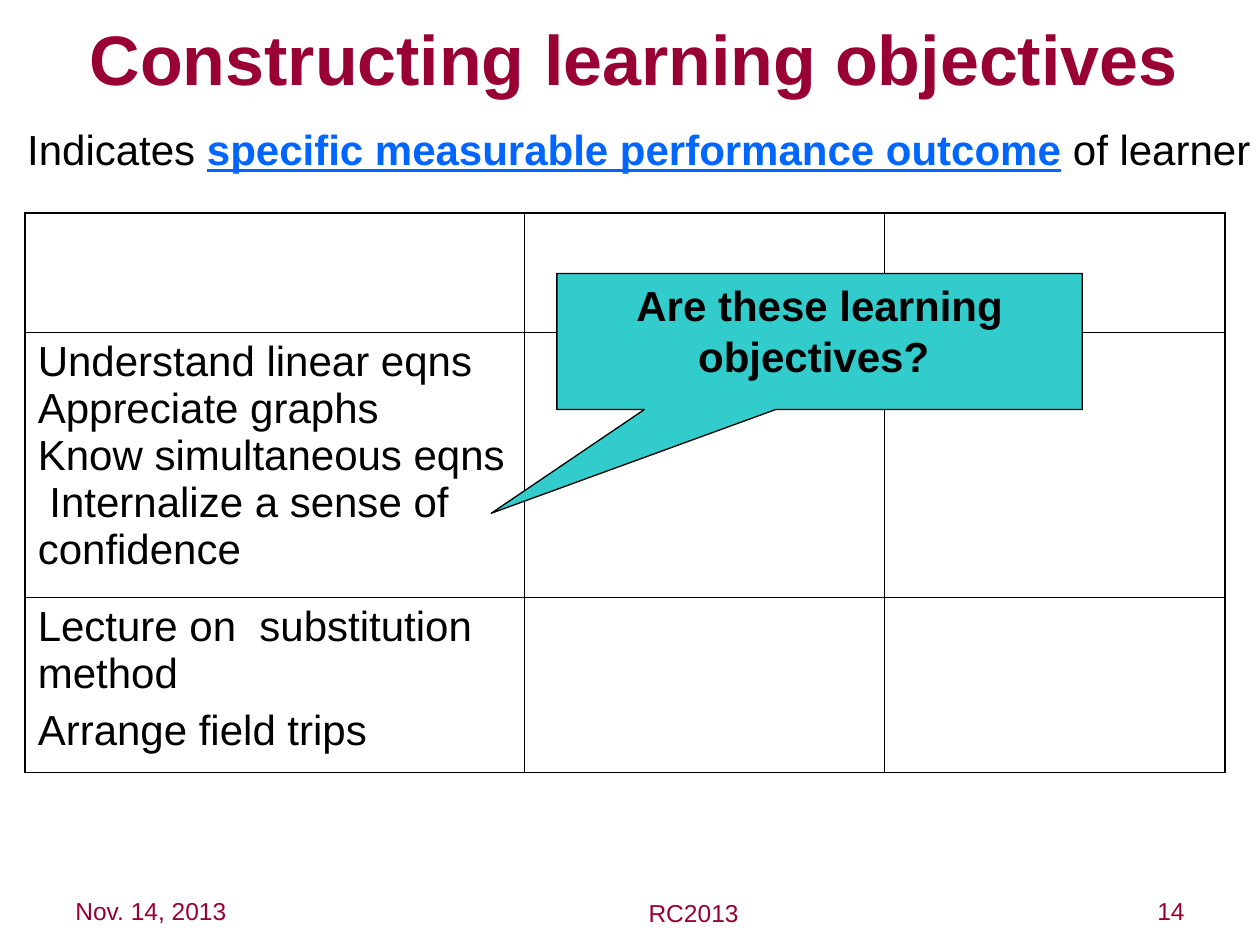
from lxml.etree import SubElement
from pptx import Presentation
from pptx.dml.color import RGBColor
from pptx.enum.shapes import MSO_SHAPE
from pptx.enum.text import MSO_ANCHOR, PP_ALIGN
from pptx.oxml import parse_xml
from pptx.oxml.ns import nsdecls, qn
from pptx.util import Inches, Pt

WINE = RGBColor(0x99, 0x00, 0x33)
BLUE = RGBColor(0x00, 0x66, 0xFF)
TEAL = RGBColor(0x33, 0xCC, 0xCC)
BLACK = RGBColor(0, 0, 0)
LEFT, MID, RIGHT = PP_ALIGN.LEFT, PP_ALIGN.CENTER, PP_ALIGN.RIGHT


def style(para, size, color, align=LEFT, bold=False):
    para.alignment = align
    font = para.font
    font.name, font.size, font.bold = "Arial", Pt(size), bold
    font.color.rgb = color


def edge(cell, side, width):
    props = cell._tc.get_or_add_tcPr()
    line = SubElement(props, qn("a:" + side), w=str(Pt(width)))
    line.append(parse_xml(
        f'<a:solidFill {nsdecls("a")}><a:srgbClr val="{BLACK}"/></a:solidFill>'))


deck = Presentation()
deck.slide_width, deck.slide_height = Inches(10), Inches(7.5)
slide = deck.slides.add_slide(deck.slide_layouts[5])
shapes = slide.shapes

title = shapes.title
title.left, title.top = Inches(0.58), Inches(0.17)
title.width, title.height = Inches(8.9), Inches(0.58)
frame = title.text_frame
frame.text = "Constructing learning objectives"
frame.vertical_anchor = MSO_ANCHOR.MIDDLE
frame.margin_left = frame.margin_right = 0
frame.margin_top = frame.margin_bottom = 0
style(frame.paragraphs[0], 40, WINE, MID, True)

footers = [
    ("Nov. 14, 2013", 0.5, 7.06, 2.33, LEFT),
    ("14", 8.08, 7.06, 1.42, RIGHT),
    ("RC2013", 3.92, 7.08, 3.17, MID),
]
for text, left, top, width, align in footers:
    box = shapes.add_textbox(
        Inches(left), Inches(top), Inches(width), Inches(0.44))
    box.text_frame.word_wrap = True
    box.text_frame.text = text
    style(box.text_frame.paragraphs[0], 14, WINE, align)

cols = [3.96, 2.86, 2.7]
rows = [0.95, 2.1, 1.39]
table = shapes.add_table(
    len(rows), len(cols), Inches(0.2), Inches(1.69),
    Inches(sum(cols)), Inches(sum(rows))).table
table.first_row = table.horz_banding = False
for col, width in zip(table.columns, cols):
    col.width = Inches(width)
for row, height in zip(table.rows, rows):
    row.height = Inches(height)

lists = {
    1: (0, ["Understand linear eqns", "Appreciate graphs",
            "Know simultaneous eqns  Internalize a sense of confidence"]),
    2: (6, ["Lecture on  substitution method", "Arrange field trips"]),
}
for r in range(len(rows)):
    for c in range(len(cols)):
        cell = table.cell(r, c)
        outer = {"lnL": c == 0, "lnR": c == len(cols) - 1,
                 "lnT": r == 0, "lnB": r == len(rows) - 1}
        for side, thick in outer.items():
            edge(cell, side, 1.08 if thick else 0.45)
        cell.fill.background()
for r, (gap, lines) in lists.items():
    frame = table.cell(r, 0).text_frame
    frame.text = "\n".join(lines)
    for para in frame.paragraphs:
        style(para, 24, BLACK)
        para.space_before = Pt(gap)

lead = shapes.add_textbox(Inches(0.07), Inches(0.98), Inches(10), Inches(0.46))
frame = lead.text_frame
frame.word_wrap = True
frame.margin_left = frame.margin_right = 0
para = frame.paragraphs[0]
style(para, 24, BLACK, MID)
para.line_spacing = 0.9
for text in ("Indicates ", "specific measurable performance outcome",
             " of learner"):
    para.add_run().text = text
font = para.runs[1].font
font.bold = font.underline = True
font.color.rgb = BLUE

call = shapes.add_shape(
    MSO_SHAPE.RECTANGULAR_CALLOUT,
    Inches(4.42), Inches(2.17), Inches(4.17), Inches(1.08))
call.adjustments[0], call.adjustments[1] = -0.625, 1.263
call.shadow.inherit = False
call.fill.solid()
call.fill.fore_color.rgb = TEAL
call.line.color.rgb = BLACK
call.line.width = Pt(0.75)
frame = call.text_frame
frame.word_wrap = True
frame.vertical_anchor = MSO_ANCHOR.TOP
frame.text = "Are these learning objectives? "
style(frame.paragraphs[0], 24, BLACK, MID, True)

deck.save("out.pptx")
